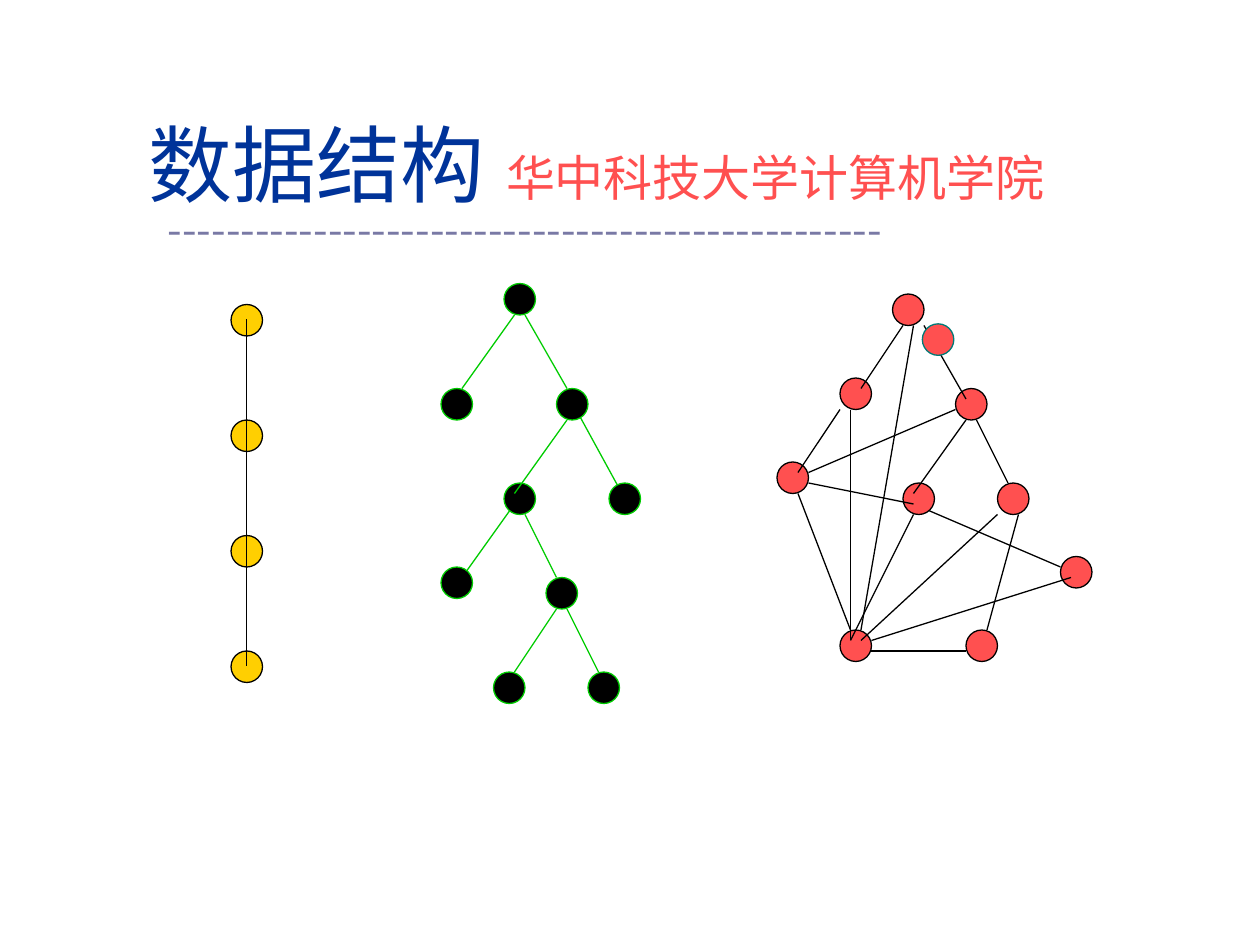
from lxml import etree
from pptx import Presentation
from pptx.dml.color import RGBColor
from pptx.enum.shapes import MSO_CONNECTOR, MSO_SHAPE
from pptx.enum.text import MSO_ANCHOR
from pptx.oxml.ns import qn
from pptx.util import Inches, Pt

OVAL = MSO_SHAPE.OVAL
STRAIGHT = MSO_CONNECTOR.STRAIGHT
MIDDLE = MSO_ANCHOR.MIDDLE

BLACK = RGBColor(0x00, 0x00, 0x00)
WHITE = RGBColor(0xFF, 0xFF, 0xFF)
RED = RGBColor(0xFF, 0x50, 0x50)
GOLD = RGBColor(0xFF, 0xCF, 0x01)
GREEN = RGBColor(0x00, 0xCC, 0x00)
TEAL = RGBColor(0x00, 0x7A, 0x77)
NAVY = RGBColor(0x00, 0x33, 0x99)
SLATE = RGBColor(0x79, 0x79, 0xA5)

FONT = "Noto Sans CJK SC"
COLUMNS, ROWS = 120, 90
CELL = Inches(10) // COLUMNS
NODE_SIZE = 3  # cells

TITLE_LINES = [
    [
        ("数据结构", {"size": Pt(48)}, NAVY),
        (" ", {"size": Pt(54)}, NAVY),
        ("华中科技大学计算机学院", {"size": Pt(28)}, RED),
    ],
    [("-" * 49, {"size": Pt(24)}, SLATE)],
]

# Nodes are (column, row) of the top left corner; edges run from (column, row)
# to (column, row). Edges under "behind" lie below the nodes.
DIAGRAMS = [
    {
        "fill": RED, "outline": BLACK, "edge": BLACK,
        "nodes": [(85, 28), (80, 36), (91, 37), (86, 46), (95, 46),
                  (74, 44), (92, 60), (101, 53), (80, 60)],
        "behind": [((87, 48), (101, 54))],
        "front": [
            ((86, 31), (82, 37)), ((88, 31), (92, 38)), ((92, 40), (87, 47)),
            ((80, 39), (76, 45)), ((93, 40), (96, 46)), ((76, 47), (81, 60)),
            ((87, 49), (81, 61)), ((83, 62), (92, 62)), ((87, 31), (82, 60)),
            ((95, 49), (82, 61)), ((97, 49), (94, 60)), ((81, 39), (81, 61)),
            ((77, 46), (87, 48)), ((77, 45), (91, 39)), ((83, 61), (102, 55)),
        ],
    },
    {
        "fill": GOLD, "outline": BLACK, "edge": BLACK,
        "nodes": [(22, row) for row in range(29, 63, 11)],
        "behind": [],
        "front": [((23.5, 30.4), (23.5, 63.4))],
    },
    {
        "fill": BLACK, "outline": GREEN, "edge": GREEN,
        "nodes": [(48, 27), (42, 37), (53, 37), (48, 46), (58, 46),
                  (42, 54), (52, 55), (47, 64), (56, 64)],
        "behind": [((49, 48), (44, 55))],
        "front": [
            ((49, 30), (44, 37)), ((50, 30), (54, 37)), ((54, 40), (49, 47)),
            ((55.3, 39.8), (58.8, 46.2)), ((50, 49), (53, 55)),
            ((53, 58), (49, 64)), ((54, 58), (57, 64)),
        ],
    },
    {
        "fill": RED, "outline": TEAL, "edge": BLACK,
        "nodes": [(87.84, 30.84)], "behind": [], "front": [],
    },
]


def cells(*counts):
    """Turn counts of grid cells into lengths."""
    return [round(count * CELL) for count in counts]


def set_line(shape, color):
    shape.line.color.rgb = color
    shape.line.width = Pt(0.75)


def add_node(slide, corner, fill, outline):
    node = slide.shapes.add_shape(OVAL, *cells(*corner, NODE_SIZE, NODE_SIZE))
    node.shadow.inherit = False
    node.fill.solid()
    node.fill.fore_color.rgb = fill
    set_line(node, outline)


def add_edge(slide, start, end, color):
    edge = slide.shapes.add_connector(STRAIGHT, *cells(*start, *end))
    set_line(edge, color)
    etree.SubElement(edge._element.spPr, qn("a:effectLst"))


def add_diagram(slide, diagram):
    for start, end in diagram["behind"]:
        add_edge(slide, start, end, diagram["edge"])
    for corner in diagram["nodes"]:
        add_node(slide, corner, diagram["fill"], diagram["outline"])
    for start, end in diagram["front"]:
        add_edge(slide, start, end, diagram["edge"])


def add_title(slide):
    box = slide.shapes.add_textbox(*cells(13, 10.8, 107, 13.4))
    box.fill.solid()
    box.fill.fore_color.rgb = WHITE
    frame = box.text_frame
    frame.word_wrap = True
    frame.vertical_anchor = MIDDLE
    frame.margin_bottom = Inches(0.15)
    heading, rule = frame.paragraphs[0], frame.add_paragraph()
    rule.line_spacing = 0.75
    rule._p.get_or_add_pPr().set("marL", str(Inches(0.15)))
    for para, spans in zip((heading, rule), TITLE_LINES):
        for text, format_values, color in spans:
            span = para.add_run()
            span.text = text
            for name, value in {"name": FONT, **format_values}.items():
                setattr(span.font, name, value)
            span.font.color.rgb = color
            etree.SubElement(span._r.get_or_add_rPr(), qn("a:ea"), typeface=FONT)


def main():
    deck = Presentation()
    deck.slide_width, deck.slide_height = cells(COLUMNS, ROWS)
    slide = deck.slides.add_slide(deck.slide_layouts[6])
    add_title(slide)
    for diagram in DIAGRAMS:
        add_diagram(slide, diagram)
    deck.save("out.pptx")


if __name__ == "__main__":
    main()
